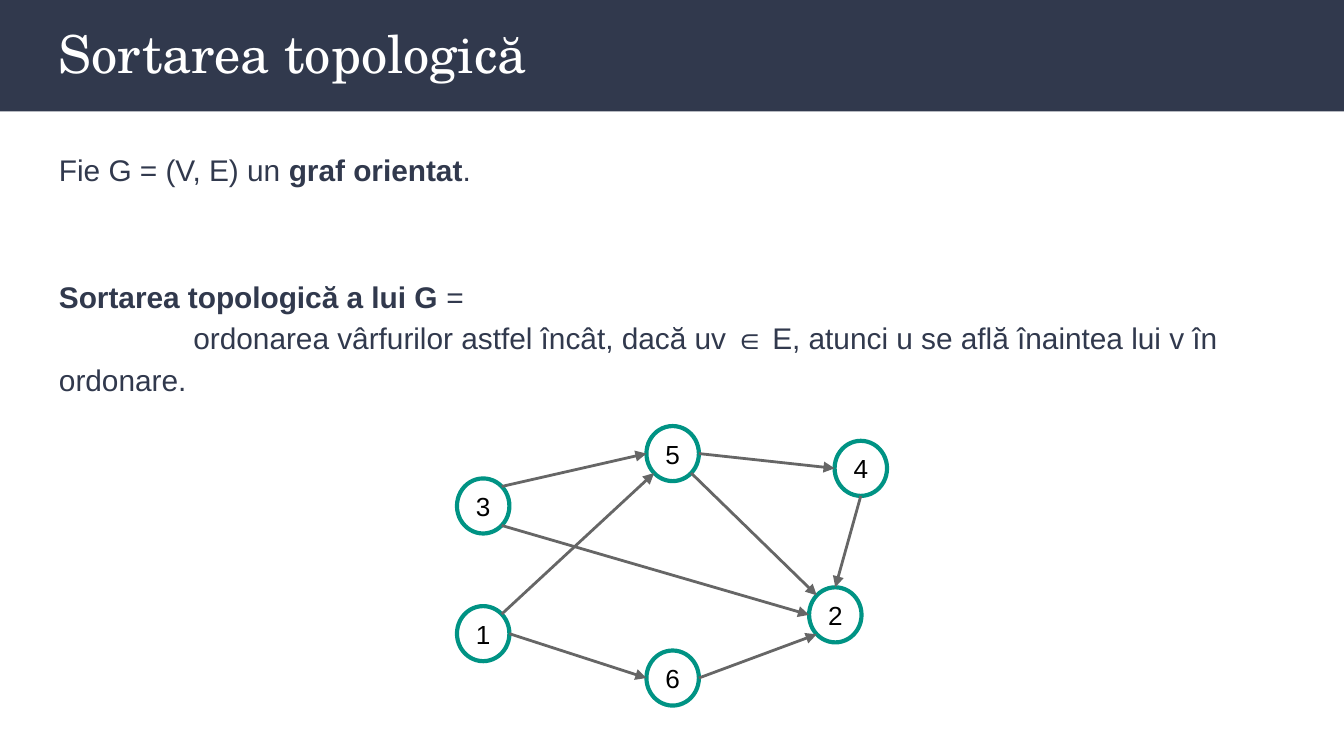
import math
from dataclasses import dataclass

from lxml import etree
from pptx import Presentation
from pptx.dml.color import RGBColor
from pptx.enum.shapes import MSO_CONNECTOR, MSO_SHAPE
from pptx.enum.text import MSO_ANCHOR, PP_ALIGN
from pptx.oxml.ns import qn
from pptx.util import Inches, Pt

RECTANGLE, OVAL = MSO_SHAPE.RECTANGLE, MSO_SHAPE.OVAL
STRAIGHT = MSO_CONNECTOR.STRAIGHT
MIDDLE, CENTER = MSO_ANCHOR.MIDDLE, PP_ALIGN.CENTER


@dataclass(frozen=True)
class Theme:
    navy: RGBColor = RGBColor(0x31, 0x39, 0x4D)
    white: RGBColor = RGBColor(0xFF, 0xFF, 0xFF)
    black: RGBColor = RGBColor(0, 0, 0)
    teal: RGBColor = RGBColor(0x00, 0x93, 0x84)
    gray: RGBColor = RGBColor(0x66, 0x66, 0x66)
    title_font: str = "TeX Gyre Schola"
    body_font: str = "Arial"
    title_size: int = 28
    body_size: int = 16
    vertex_size: int = 14


@dataclass(frozen=True)
class Vertex:
    label: str
    left: float
    top: float


@dataclass(frozen=True)
class Edge:
    source: str
    source_angle: int
    target: str
    target_angle: int


THEME = Theme()
SLIDE_WIDTH = Inches(10)
SLIDE_HEIGHT = SLIDE_WIDTH * 9 // 16
VERTEX_WIDTH, VERTEX_HEIGHT = 0.39, 0.41

VERTICES = [
    Vertex("1", 3.4, 4.51),
    Vertex("2", 6.02, 4.37),
    Vertex("5", 4.81, 3.17),
    Vertex("6", 4.81, 4.84),
    Vertex("4", 6.21, 3.28),
    Vertex("3", 3.4, 3.56),
]

# Angles run clockwise from the right-hand side of a vertex
EDGES = [
    Edge("3", -45, "5", 180),
    Edge("3", 45, "2", 180),
    Edge("1", -45, "5", 135),
    Edge("1", 0, "6", 180),
    Edge("6", 0, "2", 135),
    Edge("5", 45, "2", 225),
    Edge("5", 0, "4", 180),
    Edge("4", 90, "2", 270),
]


def set_font(paragraph, name: str, size: int, color: RGBColor) -> None:
    font = paragraph.font
    font.name, font.size = name, Pt(size)
    font.color.rgb = color


def add_text_frame(slide, top: float, height: float):
    box = slide.shapes.add_textbox(Inches(0.34), Inches(top), Inches(9.32), Inches(height))
    frame = box.text_frame
    frame.word_wrap = True
    frame.margin_left = frame.margin_right = Inches(0.1)
    frame.margin_top = frame.margin_bottom = Inches(0.1)
    return frame


def add_run(paragraph, text: str, bold: bool = False) -> None:
    run = paragraph.add_run()
    run.text = text
    run.font.bold = bold


def add_tab_stop(paragraph, position: int) -> None:
    properties = paragraph._p.get_or_add_pPr()
    tab_list = etree.SubElement(properties, qn("a:tabLst"))
    etree.SubElement(tab_list, qn("a:tab"), pos=str(position), algn="l")


def add_vertex(slide, vertex: Vertex) -> None:
    shape = slide.shapes.add_shape(OVAL, Inches(vertex.left), Inches(vertex.top),
                                   Inches(VERTEX_WIDTH), Inches(VERTEX_HEIGHT))
    shape.shadow.inherit = False
    shape.fill.background()
    shape.line.color.rgb = THEME.teal
    shape.line.width = Pt(2.25)
    frame = shape.text_frame
    frame.margin_left = frame.margin_right = Inches(0.02)
    frame.margin_top = frame.margin_bottom = Inches(0.02)
    frame.vertical_anchor = MIDDLE
    paragraph = frame.paragraphs[0]
    paragraph.text = vertex.label
    paragraph.alignment = CENTER
    set_font(paragraph, THEME.body_font, THEME.vertex_size, THEME.black)


def rim_point(vertex: Vertex, angle: int) -> tuple[int, int]:
    radians = math.radians(angle)
    return (Inches(vertex.left + VERTEX_WIDTH / 2 * (1 + math.cos(radians))),
            Inches(vertex.top + VERTEX_HEIGHT / 2 * (1 + math.sin(radians))))


def add_edge(slide, edge: Edge, vertices: dict[str, Vertex]) -> None:
    start = rim_point(vertices[edge.source], edge.source_angle)
    end = rim_point(vertices[edge.target], edge.target_angle)
    connector = slide.shapes.add_connector(STRAIGHT, *start, *end)
    connector.line.color.rgb = THEME.gray
    connector.line.width = Pt(1.5)
    properties = connector.element.spPr
    etree.SubElement(properties.find(qn("a:ln")), qn("a:tailEnd"), type="triangle")
    etree.SubElement(properties, qn("a:effectLst"))


def main() -> None:
    presentation = Presentation()
    presentation.slide_width, presentation.slide_height = SLIDE_WIDTH, SLIDE_HEIGHT
    slide = presentation.slides.add_slide(presentation.slide_layouts[6])

    # Title band
    band = slide.shapes.add_shape(RECTANGLE, 0, 0, SLIDE_WIDTH, Inches(0.83))
    band.shadow.inherit = False
    band.fill.solid()
    band.fill.fore_color.rgb = THEME.navy
    band.line.fill.background()
    title = add_text_frame(slide, 0.06, 0.68).paragraphs[0]
    title.text = "Sortarea topologică"
    set_font(title, THEME.title_font, THEME.title_size, THEME.white)

    # Definition
    body = add_text_frame(slide, 0.99, 4.11)
    premise, definition = body.paragraphs[0], body.add_paragraph()
    add_tab_stop(definition, Inches(1))
    for paragraph in (premise, definition):
        paragraph.line_spacing = 1.15
        set_font(paragraph, THEME.body_font, THEME.body_size, THEME.navy)
    add_run(premise, "Fie G = (V, E) un ")
    add_run(premise, "graf orientat", bold=True)
    add_run(premise, ".")
    definition.space_before = Pt(46)
    add_run(definition, "Sortarea topologică a lui G", bold=True)
    add_run(definition, " = ")
    definition.add_line_break()
    add_run(definition, "\tordonarea vârfurilor astfel încât, dacă uv ∈ E, "
                        "atunci u se află înaintea lui v în ordonare.")

    # Directed graph
    for vertex in VERTICES:
        add_vertex(slide, vertex)
    vertices = {vertex.label: vertex for vertex in VERTICES}
    for edge in EDGES:
        add_edge(slide, edge, vertices)

    presentation.save("out.pptx")


if __name__ == "__main__":
    main()
